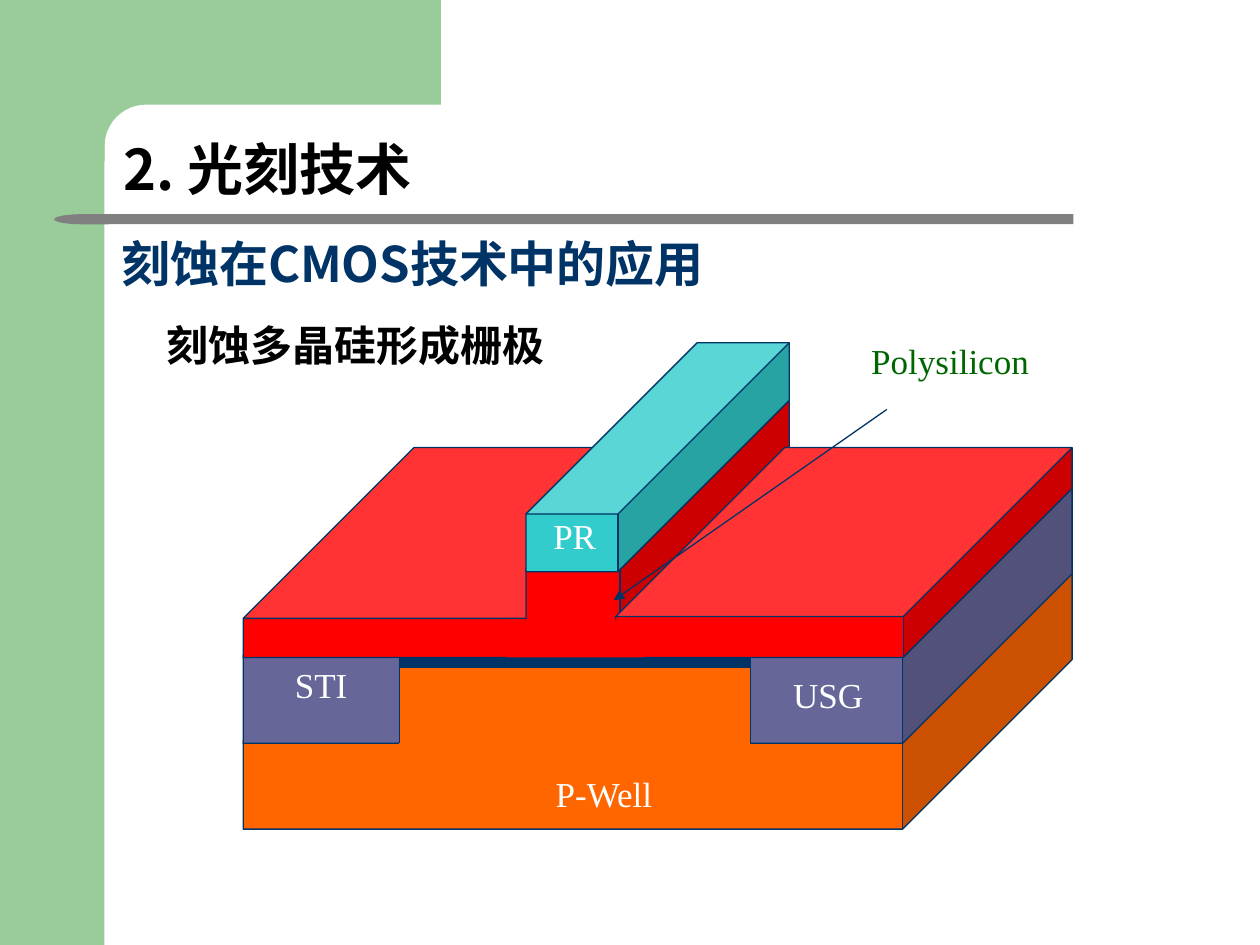
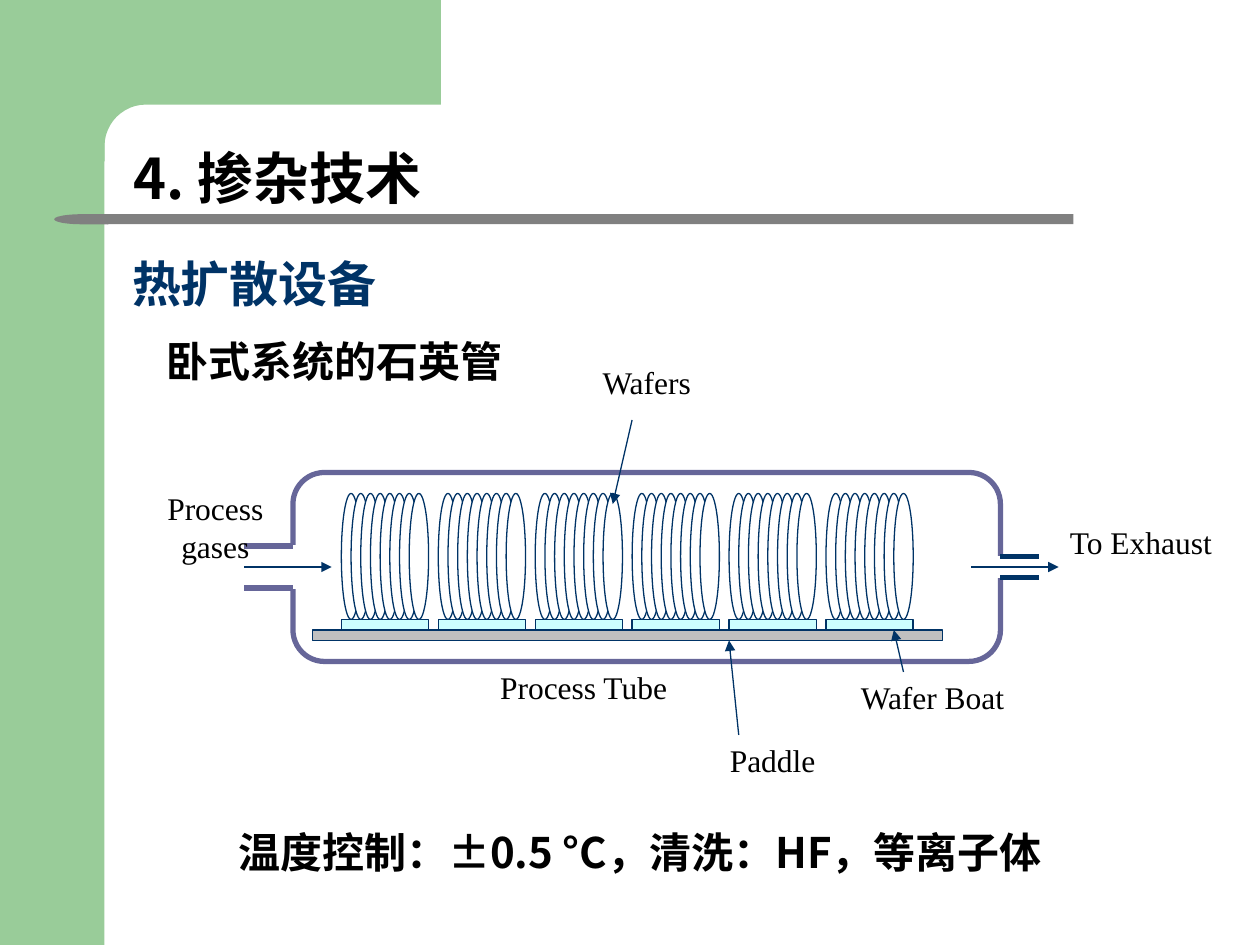
"""Build two slides on chip making: gate etching and a horizontal diffusion furnace."""
from dataclasses import dataclass
from math import cos, pi, sin

from lxml.etree import SubElement
from pptx import Presentation
from pptx.dml.color import RGBColor
from pptx.enum.shapes import MSO_CONNECTOR as CONN, MSO_SHAPE as SHAPE
from pptx.enum.text import MSO_ANCHOR as ANCHOR, MSO_AUTO_SIZE as AUTO, PP_ALIGN as ALIGN
from pptx.oxml.ns import qn
from pptx.util import Inches, Pt


@dataclass(frozen=True)
class Theme:
    """Colours, fonts and type sizes."""
    band: str = "99CC99"
    rule: str = "808080"
    ink: str = "003366"
    black: str = "000000"
    white: str = "FFFFFF"
    well: str = "FF6600"
    oxide: str = "666699"
    poly: str = "FF0000"
    poly_label: str = "006600"
    resist: str = "33CCCC"
    paddle: str = "C0C0C0"
    boat: str = "CCFFFF"
    cjk: str = "Noto Sans CJK SC"
    latin: str = "Times New Roman"
    title: int = 32
    heading: int = 28
    body: int = 24
    layer: int = 20
    callout: int = 18
    thin: float = 0.75
    thick: float = 3


@dataclass(frozen=True)
class Grid:
    """A grid with its origin and cell size in inches."""
    left: float
    top: float
    col: float
    row: float

    def point(self, c, r):
        """Return the position of a grid point."""
        return Inches(self.left + c * self.col), Inches(self.top + r * self.row)

    def box(self, c, r, w, h):
        """Return left, top, width and height of a block of cells."""
        return *self.point(c, r), Inches(w * self.col), Inches(h * self.row)


T = Theme()
PAGE = Grid(0, 0, 0.1, 0.1)
WAFER = Grid(1.93, 2.72, 0.0774, 0.0757)
FURNACE = Grid(1.94, 3.75, 1 / 13, 1 / 12)


def rgb(value):
    """Turn a hex string into a colour."""
    return RGBColor.from_string(value)


def paint(sp, fill, line=None, width=T.thin):
    """Set fill and outline, and drop the shadow."""
    sp.shadow.inherit = False
    if fill:
        sp.fill.solid()
        sp.fill.fore_color.rgb = rgb(fill)
    else:
        sp.fill.background()
    if line:
        sp.line.color.rgb = rgb(line)
        sp.line.width = Pt(width)
    else:
        sp.line.fill.background()


def add_block(s, kind, box, fill, line=None, width=T.thin, adj=None):
    """Add a painted preset shape."""
    sp = s.shapes.add_shape(kind, *box)
    if adj is not None:
        sp.adjustments[0] = adj
    paint(sp, fill, line, width)
    return sp


def add_line(s, grid, start, end, color=T.ink, width=T.thin, arrow=False):
    """Add a straight line, with an arrowhead at its end if asked."""
    cx = s.shapes.add_connector(CONN.STRAIGHT, *grid.point(*start), *grid.point(*end))
    cx.line.color.rgb = rgb(color)
    cx.line.width = Pt(width)
    if arrow:
        SubElement(cx.line._get_or_add_ln(), qn("a:tailEnd"), type="triangle")
    SubElement(cx._element.spPr, qn("a:effectLst"))


def write(sp, text, size, color, font, bold=False, align=ALIGN.LEFT, anchor=ANCHOR.TOP):
    """Fill a shape with one formatted paragraph."""
    tf = sp.text_frame
    tf.word_wrap = True
    tf.auto_size = AUTO.NONE
    tf.vertical_anchor = anchor
    p = tf.paragraphs[0]
    p.text = text
    p.alignment = align
    p.font.size = Pt(size)
    p.font.bold = bold
    p.font.color.rgb = rgb(color)
    p.font.name = font
    SubElement(p._p.pPr.find(qn("a:defRPr")), qn("a:ea"), typeface=font)
    return p


def add_label(s, grid, c, r, w, text, size=T.callout, color=T.black, h=0.4):
    """Add a centred diagram label."""
    left, top, width, _ = grid.box(c, r, w, 0)
    write(s.shapes.add_textbox(left, top, width, Inches(h)), text, size, color,
          T.latin, align=ALIGN.CENTER)


def write_heading(sp, box, text, size, color):
    """Place a bold heading on the bottom edge of its box."""
    sp.left, sp.top, sp.width, sp.height = box
    inset = int(sp.height * 0.06)
    sp.text_frame.margin_left = Inches(0.1) + inset
    sp.text_frame.margin_bottom = Inches(0.05) + inset
    write(sp, text, size, color, T.cjk, True, anchor=ANCHOR.BOTTOM).line_spacing = 0.9


def add_body(s, box, text, align=ALIGN.LEFT):
    """Add a bold line of body text."""
    write(s.shapes.add_textbox(*box), text, T.body, T.black, T.cjk, True, align)


def add_backdrop(s):
    """Draw the green bands with the rounded inner corner, and the title rule."""
    add_block(s, SHAPE.RECTANGLE, PAGE.box(0, 0, 8.3, 75), T.band)
    angles = [pi / 2 * i / 12 for i in range(13)]
    corner = [(11.6 - 3.3 * sin(a), 11.6 - 3.3 * cos(a)) for a in angles]
    outline = [(35, 0), (35, 8.3), *corner, (8.3, 12.8), (5, 12.8), (5, 0)]
    start, *rest = [PAGE.point(*pt) for pt in outline]
    fb = s.shapes.build_freeform(*start)
    fb.add_line_segments(rest)
    paint(fb.convert_to_shape(), T.band)
    add_block(s, SHAPE.RECTANGLE, PAGE.box(8.5, 17, 76.7, 0.8), T.rule)
    add_block(s, SHAPE.FLOWCHART_DELAY, PAGE.box(4.3, 17, 4.3, 0.8), T.rule).rotation = 180


def new_slide(prs, title, title_box, heading, heading_box):
    """Start a slide with the backdrop, title and heading."""
    s = prs.slides.add_slide(prs.slide_layouts[5])
    add_backdrop(s)
    write_heading(s.shapes.title, PAGE.box(*title_box), title, T.title, T.black)
    box = PAGE.box(*heading_box)
    write_heading(s.shapes.add_textbox(*box), box, heading, T.heading, T.ink)
    return s


def draw_gate(s):
    """Draw the layered wafer block with the polysilicon gate."""
    def cube(c, r, w, h, adj, fill):
        add_block(s, SHAPE.CUBE, WAFER.box(c, r, w, h), fill, T.ink, adj=adj)

    cube(0, 24, 85, 27, 0.658, T.well)
    cube(0, 15, 85, 27, 0.658, T.oxide)
    add_block(s, SHAPE.RECTANGLE, WAFER.box(16, 33, 36, 10), T.well)
    add_block(s, SHAPE.RECTANGLE, WAFER.box(16, 33, 36, 1), T.ink, T.ink)
    cube(0, 11, 48, 22, 0.814, T.poly)
    cube(29, 6, 27, 27, 0.657, T.poly)
    cube(29, 0, 27, 24, 0.748, T.resist)
    cube(38.2, 11, 46.8, 22, 0.805, T.poly)
    add_block(s, SHAPE.RECTANGLE, WAFER.box(27, 29, 14, 4), T.poly)
    for c in (16, 52):
        add_line(s, WAFER, (c, 34), (c, 42))
    for c, r, w, text in ((25, 44.4, 24, "P-Well"), (53, 34, 14, "USG"),
                          (1, 33, 14, "STI"), (29, 17.4, 10, "PR")):
        add_label(s, WAFER, c, r, w, text, T.layer, T.white)
    add_label(s, WAFER, 59, -1, 27, "Polysilicon", T.layer, T.poly_label)
    add_line(s, WAFER, (66, 7), (38, 27), arrow=True)


def draw_port(s, opening, start, end, color):
    """Cut an opening in the tube and line its two walls."""
    add_block(s, SHAPE.RECTANGLE, FURNACE.box(*opening), T.white, T.white)
    _, top, _, height = opening
    for r in (top, top + height):
        add_line(s, FURNACE, (start, r), (end, r), color, T.thick)


def draw_furnace(s):
    """Draw the quartz tube with its ports, paddle, boats and wafers."""
    add_block(s, SHAPE.ROUNDED_RECTANGLE, FURNACE.box(5, 0, 73, 18), None,
              T.oxide, T.thick, 0.167)
    draw_port(s, (0, 7, 6, 4), 0, 5, T.oxide)
    draw_port(s, (76, 8, 9, 2), 78, 82, T.ink)
    add_block(s, SHAPE.RECTANGLE, FURNACE.box(7, 15, 65, 1), T.paddle, T.ink)
    for boat in range(10, 70, 10):
        for wafer in range(8):
            add_block(s, SHAPE.OVAL, FURNACE.box(boat + wafer, 2, 2, 12), T.white, T.ink)
        add_block(s, SHAPE.RECTANGLE, FURNACE.box(boat, 14, 9, 1), T.boat, T.ink)
    for c, r, w, text in ((83, 4.2, 19, "To Exhaust"), (22, 18, 26, "Process Tube"),
                          (59, 19, 24, "Wafer Boat"), (46, 25, 17, "Paddle"),
                          (34, -11, 15, "Wafers")):
        add_label(s, FURNACE, c, r, w, text)
    add_label(s, FURNACE, -12, 1, 18, "Process gases", h=0.7)
    for start, end in (((0, 9), (9, 9)), ((75, 9), (84, 9)), ((68, 19), (67, 15)),
                       ((51, 25), (50, 16)), ((40, -5), (38, 3))):
        add_line(s, FURNACE, start, end, arrow=True)


def main():
    """Build and save both slides."""
    prs = Presentation()
    prs.slide_width, prs.slide_height = Inches(10), Inches(7.5)

    s = new_slide(prs, "2. 光刻技术", (8.3, 8.4, 35.4, 8.7),
                  "刻蚀在CMOS技术中的应用", (8.3, 18.6, 57.5, 5.5))
    add_body(s, PAGE.box(12.2, 24.9, 48.8, 7.1), "刻蚀多晶硅形成栅极")
    draw_gate(s)

    s = new_slide(prs, "4. 掺杂技术", (9.1, 9.9, 42.5, 7.9),
                  "热扩散设备", (9.1, 19.4, 62.2, 6.3))
    add_body(s, PAGE.box(12.2, 26.1, 38.6, 5.1), "卧式系统的石英管")
    draw_furnace(s)
    add_body(s, PAGE.box(13, 65.1, 75.6, 5), "温度控制：±0.5 °C，清洗：HF，等离子体", ALIGN.CENTER)

    prs.save("out.pptx")


if __name__ == "__main__":
    main()
